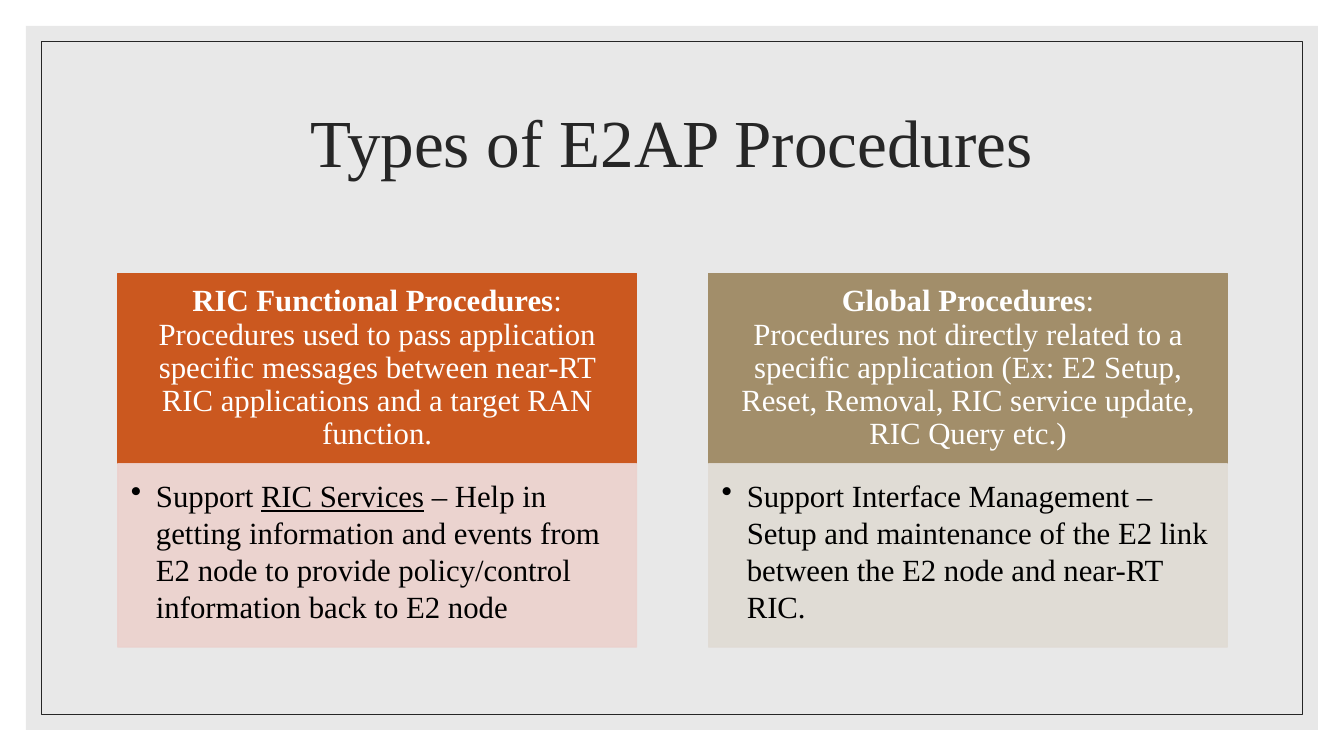
from pptx import Presentation
from pptx.dml.color import RGBColor
from pptx.enum.shapes import MSO_SHAPE as Preset
from pptx.enum.text import MSO_ANCHOR as Anchor, PP_ALIGN as Align
from pptx.oxml.ns import qn
from pptx.util import Pt
from lxml.etree import SubElement

COLORS = {
    "white": "FFFFFF", "panel": "D9D9D9", "ink": "262626", "black": "000000",
    "orange": "CB581F", "pink": "ECD1CD", "tan": "A28E6A", "sand": "E0DBD4",
}
WIDTH, HEIGHT = 960, 540
CARD_LEFT, CARD_TOP, CARD_WIDTH, CARD_STEP = 84.2, 195.2, 370.4, 422
HEADER_HEIGHT, BODY_HEIGHT = 136, 131

CARDS = [
    ("orange", "pink",
     [("RIC Functional Procedures", "bold"),
      (": Procedures used to pass application specific messages between "
       "near-RT RIC applications and a target RAN function.", "")],
     [("Support ", ""), ("RIC Services", "underline"),
      (" – Help in getting information and events from E2 node to provide "
       "policy/control information back to E2 node", "")]),
    ("tan", "sand",
     [("Global Procedures", "bold"), (":", ""), ("", "break"),
      ("Procedures not directly related to a specific application (Ex: E2 "
       "Setup, Reset, Removal, RIC service update, RIC Query etc.)", "")],
     [("Support Interface Management – Setup and maintenance of the E2 link "
       "between the E2 node and near-RT RIC.", "")]),
]


class SlideBuilder:
    font_name = "Times New Roman"

    def __init__(self, slide):
        self.slide = slide

    def color(self, name):
        return RGBColor.from_string(COLORS[name])

    def set_alpha(self, fill_parent, percent):
        color = fill_parent.find(qn("a:solidFill"))[0]
        SubElement(color, qn("a:alpha"), val=str(percent * 1000))

    def rectangle(self, box, fill=None, line=None, line_width=1, alpha=100):
        shape = self.slide.shapes.add_shape(Preset.RECTANGLE, *map(Pt, box))
        shape.shadow.inherit = False
        if fill:
            shape.fill.solid()
            shape.fill.fore_color.rgb = self.color(fill)
        else:
            shape.fill.background()
        if line:
            shape.line.color.rgb = self.color(line)
            shape.line.width = Pt(line_width)
        else:
            shape.line.fill.background()
        if alpha < 100:
            properties = shape.element.spPr
            self.set_alpha(properties, alpha)
            if line:
                self.set_alpha(properties.find(qn("a:ln")), alpha)
        return shape

    def add_text(self, shape, runs, size, color, insets, anchor=Anchor.MIDDLE,
                 align=Align.CENTER, spacing=0.9):
        frame = shape.text_frame
        frame.word_wrap = True
        frame.vertical_anchor = anchor
        (frame.margin_left, frame.margin_top,
         frame.margin_right, frame.margin_bottom) = map(Pt, insets)
        paragraph = frame.paragraphs[0]
        paragraph.alignment = align
        paragraph.line_spacing = spacing
        paragraph.font.name = self.font_name
        paragraph.font.size = Pt(size)
        paragraph.font.color.rgb = self.color(color)
        for text, style in runs:
            if style == "break":
                paragraph.add_line_break()
                continue
            run = paragraph.add_run()
            run.text = text
            if style == "bold":
                run.font.bold = True
            elif style == "underline":
                run.font.underline = True
        return paragraph

    def title(self, text, box):
        shape = self.slide.shapes.add_textbox(*map(Pt, box))
        self.add_text(shape, [(text, "")], 48, "ink", (7.2, 3.6, 7.2, 3.6))

    def bullet(self, paragraph, indent):
        properties = paragraph._p.get_or_add_pPr()
        properties.set("marL", str(int(Pt(indent))))
        properties.set("indent", str(-int(Pt(indent))))
        bullet = properties.makeelement(qn("a:buChar"), {"char": "•"})
        properties.find(qn("a:defRPr")).addprevious(bullet)

    def card(self, left, header_color, body_color, header, body):
        header_shape = self.rectangle(
            (left, CARD_TOP, CARD_WIDTH, HEADER_HEIGHT),
            header_color, header_color)
        self.add_text(header_shape, header, 22, "white", (12.3, 7, 12.3, 7))
        body_shape = self.rectangle(
            (left, CARD_TOP + HEADER_HEIGHT, CARD_WIDTH, BODY_HEIGHT),
            body_color, body_color, alpha=90)
        paragraph = self.add_text(
            body_shape, body, 22, "black", (9.2, 9.2, 12.3, 13.9),
            Anchor.TOP, Align.LEFT, 1)
        self.bullet(paragraph, 18)


def main():
    presentation = Presentation()
    presentation.slide_width, presentation.slide_height = Pt(WIDTH), Pt(HEIGHT)
    builder = SlideBuilder(
        presentation.slides.add_slide(presentation.slide_layouts[6]))
    builder.rectangle((0, 0, WIDTH, HEIGHT), "white")
    builder.rectangle((18.6, 18.6, 922.8, 502.8), "panel", alpha=60)
    builder.rectangle((29.4, 29.4, 901.2, 481.2), line="ink", line_width=0.5)
    builder.title("Types of E2AP Procedures", (84, 50.4, 792, 108))
    for index, card in enumerate(CARDS):
        builder.card(CARD_LEFT + index * CARD_STEP, *card)
    presentation.save("out.pptx")


if __name__ == "__main__":
    main()
